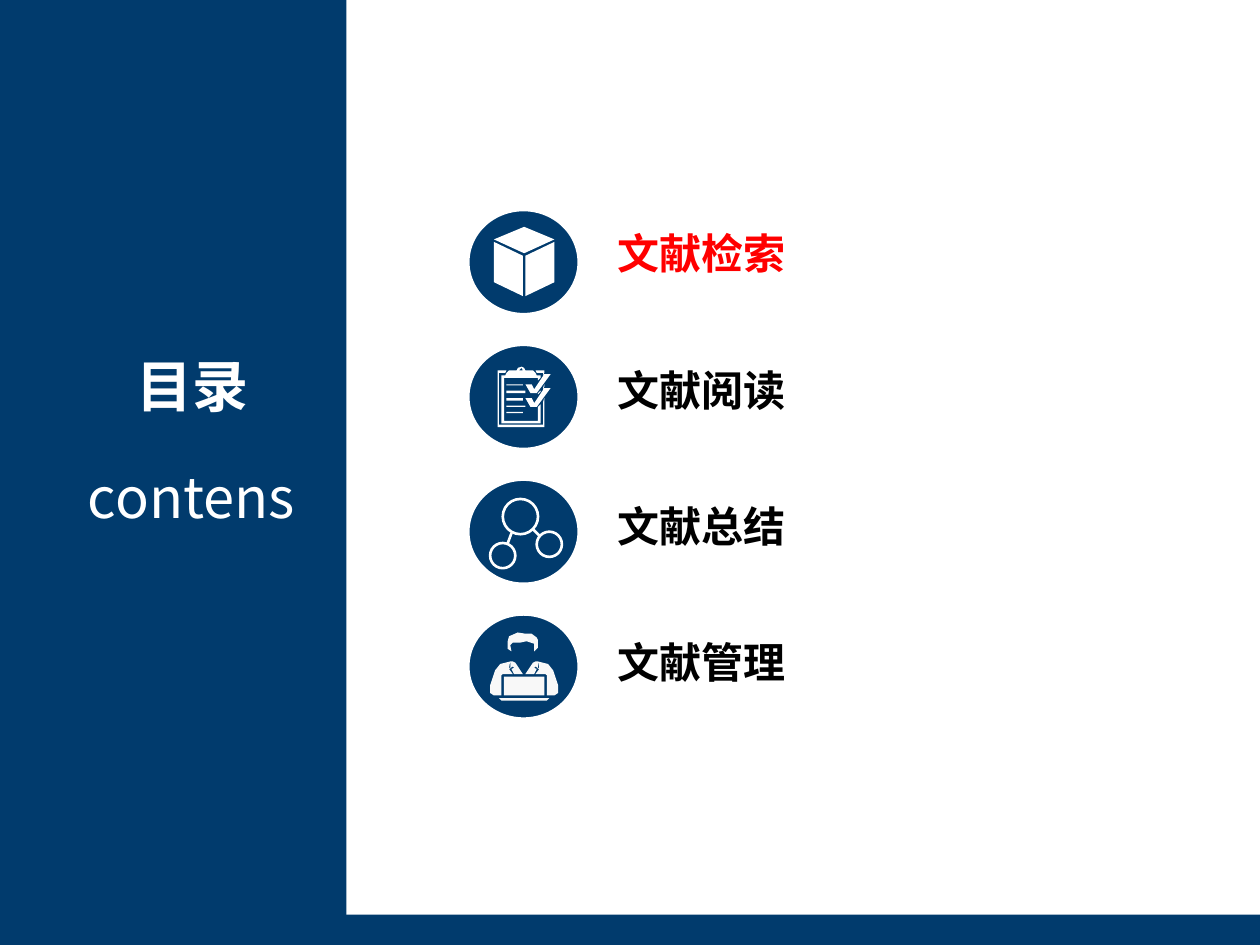
from pptx import Presentation
from pptx import util as u
from pptx.dml.color import RGBColor
from pptx.enum import shapes, text
from pptx.oxml import parse_xml
from pptx.oxml.ns import nsdecls

NAVY = RGBColor(0x01, 0x3B, 0x6D)
WHITE = RGBColor(0xFF, 0xFF, 0xFF)
OFF_WHITE = RGBColor(0xF8, 0xF8, 0xF8)
RED = RGBColor(0xFF, 0x00, 0x00)
BLACK = RGBColor(0x00, 0x00, 0x00)
FONT = "Noto Sans CJK SC"
LEFT, CENTER = text.PP_ALIGN.LEFT, text.PP_ALIGN.CENTER
DISC_W, DISC_H = 0.87, 0.82


def inches(*lengths):
    return [u.Inches(length) for length in lengths]


def add_filled(slide, kind, box, color, outline=None):
    shape = slide.shapes.add_shape(kind, *inches(*box))
    shape.shadow.inherit = False
    shape.fill.solid()
    shape.fill.fore_color.rgb = color
    if outline is None:
        shape.line.fill.background()
    else:
        shape.line.color.rgb = outline
        shape.line.width = u.Pt(1)
    return shape


def write_label(holder, box, wording, size, color, bold, align):
    holder.left, holder.top, holder.width, holder.height = inches(*box)
    frame = holder.text_frame
    frame.text = wording
    frame.word_wrap = False
    frame.auto_size = text.MSO_AUTO_SIZE.NONE
    frame.vertical_anchor = text.MSO_ANCHOR.TOP
    paragraph = frame.paragraphs[0]
    paragraph.alignment = align
    font = paragraph.runs[0].font
    font.name, font.size, font.bold = FONT, u.Pt(size), bold
    font.color.rgb = color
    # East Asian typeface, next to the Latin one
    latin = paragraph.runs[0]._r.rPr.find("{*}latin")
    latin.addnext(parse_xml(f'<a:ea {nsdecls("a")} typeface="{FONT}"/>'))


# Icon outlines are in hundredths of an inch from the disc's top left corner
def add_outline(slide, left, top, contours, color):
    builder = slide.shapes.build_freeform(*contours[0][0], scale=u.Inches(0.01))
    for number, contour in enumerate(contours):
        if number:
            builder.move_to(*contour[0])
        builder.add_line_segments(contour[1:], close=True)
    outline = builder.convert_to_shape(*inches(left, top))
    outline.shadow.inherit = False
    outline.fill.solid()
    outline.fill.fore_color.rgb = color
    outline.line.fill.background()


def rect(x1, y1, x2, y2):
    return [(x1, y1), (x2, y1), (x2, y2), (x1, y2)]


def mirrored(contour, axis=44):
    return [(2 * axis - x, y) for x, y in contour]


def draw_cube(slide, left, top):
    side = [(43, 36), (20, 25), (20, 57), (43, 68)]
    lid = [(44, 13), (20, 23), (44, 34), (68, 23)]
    add_outline(slide, left, top, [side, mirrored(side), lid], WHITE)


def draw_checklist(slide, left, top):
    sheet = [
        [(59, 63), (24, 63), (24, 22), (29, 22), (30, 20), (23, 20),
         (23, 65), (60, 65), (60, 42), (59, 45)],
        [(55, 60), (28, 60), (28, 26), (55, 26), (55, 28), (57, 26), (57, 24),
         (26, 24), (26, 62), (57, 62), (57, 47), (55, 49)],
        [(60, 22), (60, 20), (53, 20), (54, 22), (59, 22), (59, 24)],
        [(59, 35), (60, 33), (60, 31), (59, 34)],
        [(57, 36), (55, 38), (55, 39), (57, 37)],
    ]
    clip = [
        [(29, 24), (30, 22), (32, 20), (38, 20), (39, 18), (42, 17), (44, 18),
         (45, 20), (51, 20), (53, 22), (54, 24)],
        [(40, 20), (42, 18), (43, 20)],
    ]
    rows = [rect(30, 31 + 5.5 * i, 45 if i % 2 else 43, 32.5 + 5.5 * i)
            for i in range(5)]
    tick = [(65, 23), (54, 38), (49, 38), (45, 31), (50, 31), (52, 35), (60, 23)]
    ticks = [[(x, y + drop) for x, y in tick] for drop in (0, 11)]
    add_outline(slide, left, top, sheet + clip + rows + ticks, WHITE)


def draw_network(slide, left, top):
    # Nodes: centre x, centre y, radius
    for x, y, radius in ((0.41, 0.29, 0.14), (0.27, 0.6, 0.1), (0.64, 0.51, 0.1)):
        box = (left + x - radius, top + y - radius, 2 * radius, 2 * radius)
        add_filled(slide, shapes.MSO_SHAPE.OVAL, box, NAVY, WHITE).line.width = u.Pt(1.5)
    # Links
    for x1, y1, x2, y2 in ((0.34, 0.42, 0.31, 0.5), (0.51, 0.39, 0.57, 0.45)):
        link = slide.shapes.add_connector(
            shapes.MSO_CONNECTOR.STRAIGHT,
            *inches(left + x1, top + y1, left + x2, top + y2))
        link.line.color.rgb = WHITE
        link.line.width = u.Pt(1.5)
        link._element.spPr.append(parse_xml(f'<a:effectLst {nsdecls("a")}/>'))


def draw_laptop_user(slide, left, top):
    sleeve = [(26, 64), (20, 64), (17, 62), (17, 56), (21, 44), (25, 39), (33, 37),
              (32, 42), (34, 42), (32, 43), (35, 47), (27, 47), (26, 48)]
    lapel = [(33, 37), (33, 42), (35, 41), (36, 42), (34, 43), (36, 47), (43, 47),
             (37, 38), (35, 37)]
    hair = [(34, 29), (33, 24), (35, 22), (41, 22), (46, 21), (52, 23), (52, 29),
            (55, 26), (55, 20), (54, 18), (50, 15), (45, 15), (39, 14), (32, 17),
            (31, 21), (31, 27)]
    screen = rect(28, 49, 60, 64)
    base = [(24, 66), (64, 66), (62, 68), (26, 68)]
    add_outline(slide, left, top, [sleeve, mirrored(sleeve), lapel, mirrored(lapel),
                                   hair, screen, base], OFF_WHITE)


def add_sidebar(slide, left, top, width, height):
    add_filled(slide, shapes.MSO_SHAPE.RECTANGLE, (left, top, width, height), NAVY)
    # Title, brought in front of the panel
    title = slide.shapes.title
    write_label(title, (left + 0.98, top + 2.74, 1.09, 0.64), "目录", 32, WHITE, True, CENTER)
    slide.shapes._spTree.append(title._element)
    subtitle = slide.shapes.add_textbox(0, 0, 0, 0)
    write_label(subtitle, (left + 0.59, top + 3.62, 1.86, 0.64),
                "contens", 32, WHITE, False, CENTER)


def add_agenda(slide, left, top):
    entries = (("文献检索", RED, draw_cube), ("文献阅读", BLACK, draw_checklist),
               ("文献总结", BLACK, draw_network), ("文献管理", BLACK, draw_laptop_user))
    for row, (wording, color, draw_icon) in enumerate(entries):
        disc_top = top + 1.07 * row
        add_filled(slide, shapes.MSO_SHAPE.OVAL, (left, disc_top, DISC_W, DISC_H), NAVY, WHITE)
        draw_icon(slide, left, disc_top)
        entry = slide.shapes.add_textbox(0, 0, 0, 0)
        write_label(entry, (left + 1.08, top + 0.09 + 1.08 * row, 1.53, 0.5),
                    wording, 24, color, True, LEFT)


def main():
    deck = Presentation()
    deck.slide_width, deck.slide_height = inches(10, 7.5)
    slide = deck.slides.add_slide(deck.slide_layouts[5])
    # Footer band
    add_filled(slide, shapes.MSO_SHAPE.RECTANGLE, (0.93, 7.26, 9.07, 0.24), NAVY)
    add_sidebar(slide, 0, 0, 2.75, 7.5)
    add_agenda(slide, 3.72, 1.67)
    deck.save("out.pptx")


if __name__ == "__main__":
    main()
